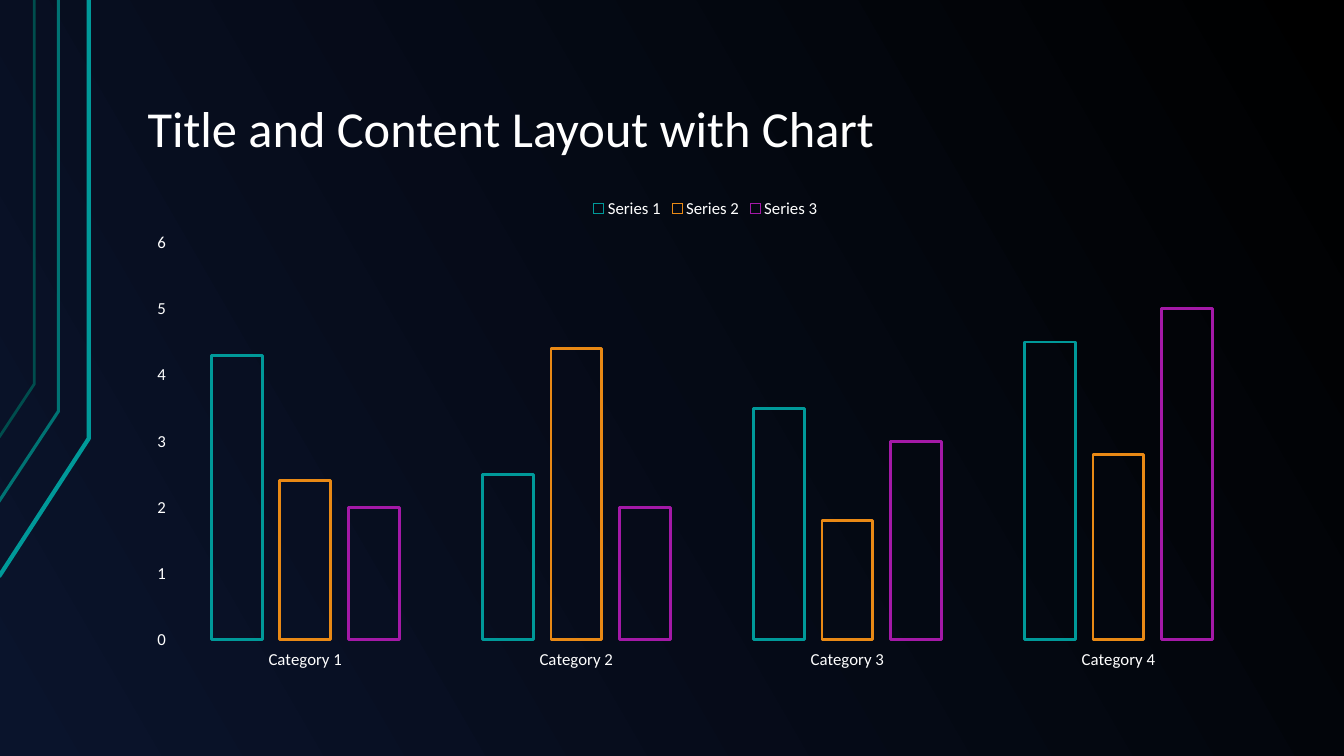
from pptx import Presentation
from pptx.chart.data import CategoryChartData
from pptx.dml.color import RGBColor
from pptx.enum.chart import (XL_CHART_TYPE, XL_LEGEND_POSITION, XL_TICK_LABEL_POSITION,
                             XL_TICK_MARK)
from pptx.enum.text import MSO_ANCHOR, MSO_AUTO_SIZE, PP_ALIGN
from pptx.util import Pt

COLORS = {
    "black": "000000", "navy": "0A142C", "white": "FFFFFF",
    "teal": "009999", "mid_teal": "007373", "dark_teal": "004D4D",
    "orange": "E98915", "purple": "A419A7",
}
FONT = "Calibri"
CONTENT_LEFT, CONTENT_WIDTH = 96, 816

# Left edge, bottom, bend x, bend y, colour, line width
RAILS = [
    (-0.72, 411.84, 63.36, 313.2, "teal", 3),
    (-1.44, 359.28, 41.76, 293.76, "mid_teal", 2.24),
    (-0.72, 312.48, 24.48, 274.32, "dark_teal", 2),
]
CATEGORIES = [f"Category {number}" for number in range(1, 5)]
SERIES = [
    ("Series 1", (4.3, 2.5, 3.5, 4.5), "teal"),
    ("Series 2", (2.4, 4.4, 1.8, 2.8), "orange"),
    ("Series 3", (2, 2, 3, 5), "purple"),
]


def rgb(name):
    return RGBColor.from_string(COLORS[name])


def format_font(font, size, color):
    font.name, font.size, font.color.rgb = FONT, Pt(size), rgb(color)


def write_text(frame, text, *, size=12, color="white", align=PP_ALIGN.LEFT,
               anchor=MSO_ANCHOR.TOP, spacing=1.0):
    frame.word_wrap = True
    frame.auto_size = MSO_AUTO_SIZE.NONE
    frame.vertical_anchor = anchor
    frame.margin_left = frame.margin_right = Pt(9.36)
    frame.margin_top = frame.margin_bottom = Pt(5)
    paragraph = frame.paragraphs[0]
    paragraph.alignment, paragraph.line_spacing = align, spacing
    run = paragraph.add_run()
    run.text = text
    format_font(run.font, size, color)


def outline(element, color, width):
    element.fill.background()
    element.line.color.rgb = rgb(color)
    element.line.width = Pt(width)


def set_background(slide):
    fill = slide.background.fill
    fill.gradient()
    fill.gradient_angle = 210
    for stop, color in zip(fill.gradient_stops, ("black", "navy")):
        stop.color.rgb = rgb(color)


def add_rail(slide, left, bottom, bend_x, bend_y, color, width):
    builder = slide.shapes.build_freeform(Pt(left), Pt(bottom))
    builder.add_line_segments([(Pt(bend_x), Pt(bend_y)), (Pt(bend_x), 0)], close=False)
    rail = builder.convert_to_shape()
    rail.shadow.inherit = False
    outline(rail, color, width)


def add_title(slide, text):
    title = slide.shapes.title
    title.left, title.top = Pt(CONTENT_LEFT), Pt(21.6)
    title.width, title.height = Pt(CONTENT_WIDTH), Pt(96.4)
    write_text(title.text_frame, text, size=36, anchor=MSO_ANCHOR.BOTTOM, spacing=0.9)


def add_column_chart(slide):
    data = CategoryChartData()
    data.categories = CATEGORIES
    for name, values, _ in SERIES:
        data.add_series(name, values)
    chart = slide.shapes.add_chart(
        XL_CHART_TYPE.COLUMN_CLUSTERED, Pt(CONTENT_LEFT), Pt(134),
        Pt(CONTENT_WIDTH), Pt(351.4), data).chart
    chart.has_title = False

    # Legend above the columns
    chart.has_legend = True
    chart.legend.position = XL_LEGEND_POSITION.TOP
    chart.legend.include_in_layout = False

    # Axes without lines, ticks or grid
    for axis in (chart.category_axis, chart.value_axis):
        axis.has_major_gridlines = False
        axis.major_tick_mark = axis.minor_tick_mark = XL_TICK_MARK.NONE
        axis.format.line.fill.background()
        format_font(axis.tick_labels.font, 12, "white")
    format_font(chart.legend.font, 12, "white")
    chart.category_axis.tick_label_position = XL_TICK_LABEL_POSITION.LOW
    scale = chart.value_axis
    scale.minimum_scale, scale.maximum_scale, scale.major_unit = 0, 6, 1
    scale.tick_labels.number_format = "General"
    scale.tick_labels.number_format_is_linked = False

    # Hollow columns
    plot = chart.plots[0]
    plot.gap_width, plot.overlap, plot.vary_by_categories = 164, -35, False
    for columns, (_, _, color) in zip(plot.series, SERIES):
        columns.invert_if_negative = False
        outline(columns.format, color, 2)


def main():
    deck = Presentation()
    deck.slide_width, deck.slide_height = Pt(960), Pt(540)
    slide = deck.slides.add_slide(deck.slide_layouts[5])
    set_background(slide)
    for rail in RAILS:
        add_rail(slide, *rail)
    add_title(slide, "Title and Content Layout with Chart")
    add_column_chart(slide)
    deck.save("out.pptx")


main()
